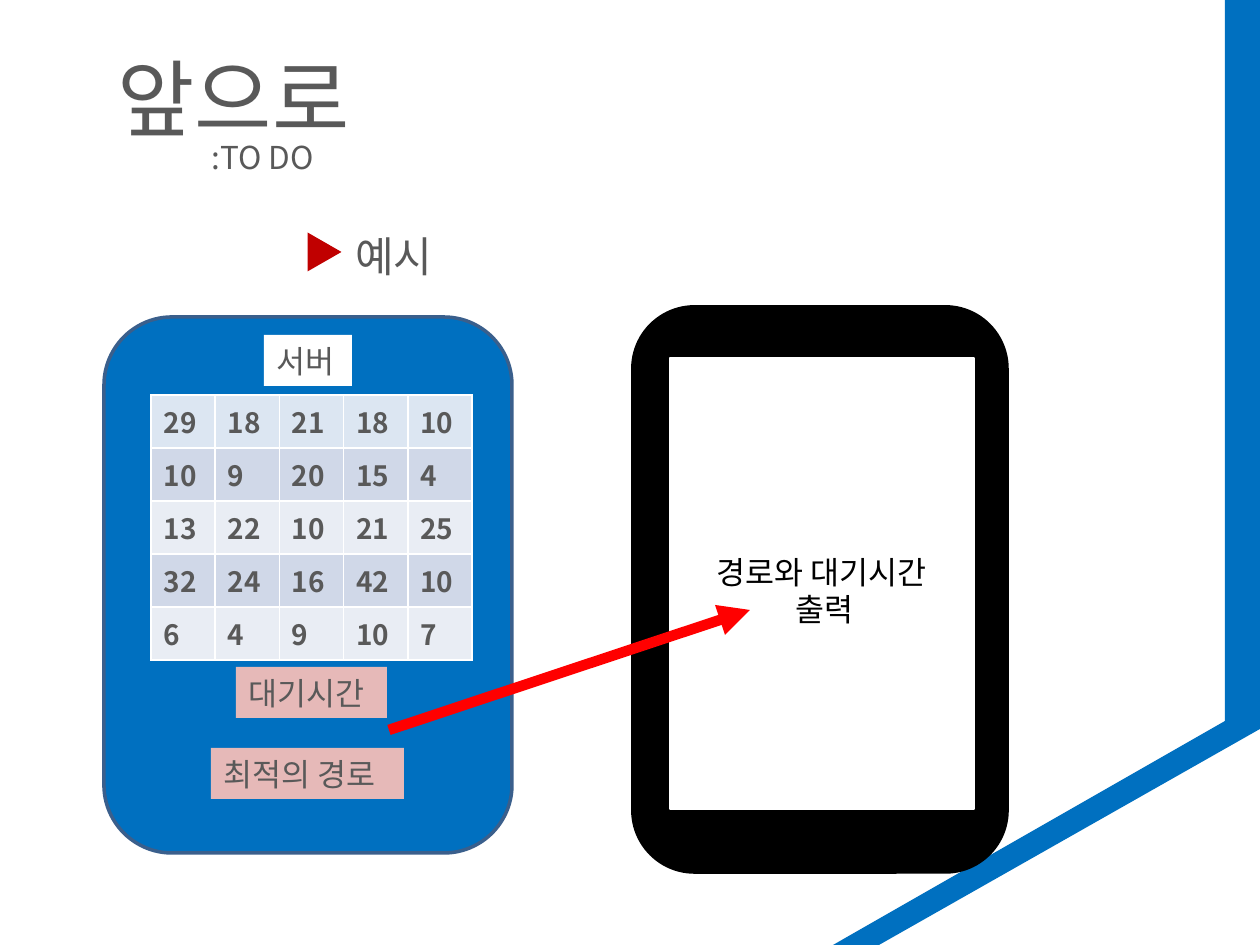
from lxml import etree
from pptx import Presentation
from pptx import util as u
from pptx.dml.color import RGBColor
from pptx.enum import shapes, text
from pptx.oxml.ns import qn

PX = 914400 // 126
FONT = "Noto Sans CJK KR"
HUES = {
    "blue": "0070C0", "edge": "3A5F8C", "black": "000000", "white": "FFFFFF",
    "grey": "595959", "pink": "E6B9B8", "red": "FF0000", "dark": "C00000",
    "head": "DCE6F2", "odd": "D0D8E8", "even": "E9EDF4",
}
KIND = shapes.MSO_SHAPE
ALIGN = text.PP_ALIGN
rgb = {name: RGBColor.from_string(code) for name, code in HUES.items()}


def write(frame, words, size, hue="grey", align=ALIGN.LEFT, bold=False, wrap=True):
    frame.word_wrap = wrap
    frame.auto_size = text.MSO_AUTO_SIZE.NONE
    frame.vertical_anchor = text.MSO_ANCHOR.MIDDLE
    frame.text = words
    for para in frame.paragraphs:
        para.alignment = align
        for run in para.runs:
            font = run.font
            font.size, font.bold, font.name = u.Pt(size), bold, FONT
            font.color.rgb = rgb[hue]
            etree.SubElement(font._element, qn("a:ea"), typeface=FONT)


def draw(kind, box, fill, line=None, width=1):
    shape = slide.shapes.add_shape(kind, *[n * PX for n in box])
    shape.shadow.inherit = False
    shape.fill.solid()
    shape.fill.fore_color.rgb = rgb[fill]
    if line:
        shape.line.color.rgb = rgb[line]
        shape.line.width = u.Pt(width)
    else:
        shape.line.fill.background()
    return shape


deck = Presentation()
deck.slide_width, deck.slide_height = u.Inches(10), u.Inches(7.5)
slide = deck.slides.add_slide(deck.slide_layouts[5])

draw(KIND.RECTANGLE, (1225, 0, 35, 726), "blue")
path = slide.shapes.build_freeform(833, 945, scale=PX)
path.add_line_segments([(1225, 721), (1260, 701), (1260, 729), (879, 945)])
band = path.convert_to_shape()
band.shadow.inherit = False
band.fill.solid()
band.fill.fore_color.rgb = rgb["blue"]
band.line.fill.background()

draw(KIND.ROUNDED_RECTANGLE, (104, 317, 408, 536), "blue", "edge", 2)
draw(KIND.ROUNDED_RECTANGLE, (632, 306, 376, 567), "black", "black")
draw(KIND.RECTANGLE, (670, 358, 304, 451), "white", "white")

rows = [
    (29, 18, 21, 18, 10),
    (10, 9, 20, 15, 4),
    (13, 22, 10, 21, 25),
    (32, 24, 16, 42, 10),
    (6, 4, 9, 10, 7),
]
left, top, wide, high = [n * PX for n in (151, 395, 321, 255)]
grid = slide.shapes.add_table(5, 5, left, top, wide, high).table
grid.first_row = False
for r, row in enumerate(rows):
    hue = "head" if r == 0 else "odd" if r % 2 else "even"
    for c, value in enumerate(row):
        cell = grid.cell(r, c)
        cell.fill.solid()
        cell.fill.fore_color.rgb = rgb[hue]
        write(cell.text_frame, str(value), 16, align=ALIGN.JUSTIFY, bold=True)
        cell.vertical_anchor = text.MSO_ANCHOR.TOP

for words, box, fill in [
    ("서버", (264, 335, 88, 51), "white"),
    ("대기시간", (236, 667, 151, 51), "pink"),
    ("최적의 경로", (211, 748, 193, 51), "pink"),
]:
    write(draw(KIND.RECTANGLE, box, fill).text_frame, words, 18)

arrow = slide.shapes.add_connector(
    shapes.MSO_CONNECTOR.STRAIGHT, *[n * PX for n in (389, 730, 750, 610)])
arrow.line.color.rgb = rgb["red"]
arrow.line.width = u.Pt(6)
etree.SubElement(arrow.line._get_or_add_ln(), qn("a:tailEnd"), type="triangle")
etree.SubElement(arrow._element.spPr, qn("a:effectLst"))

title = slide.shapes.title
title.left, title.top, title.width, title.height = [n * PX for n in (105, 39, 922, 115)]
write(title.text_frame, "앞으로", 48)

mark = draw(KIND.ISOSCELES_TRIANGLE, (305, 235, 39, 34), "dark")
mark.rotation = 90

for words, box, size, hue, align, wrap in [
    ("경로와 대기시간\n 출력", (693, 546, 256, 89), 18, "black", ALIGN.CENTER, False),
    (":TO DO", (199, 131, 367, 51), 18, "grey", ALIGN.LEFT, True),
    ("예시", (343, 224, 730, 63), 24, "grey", ALIGN.LEFT, True),
]:
    label = slide.shapes.add_textbox(*[n * PX for n in box])
    write(label.text_frame, words, size, hue, align, wrap=wrap)

deck.save("out.pptx")
